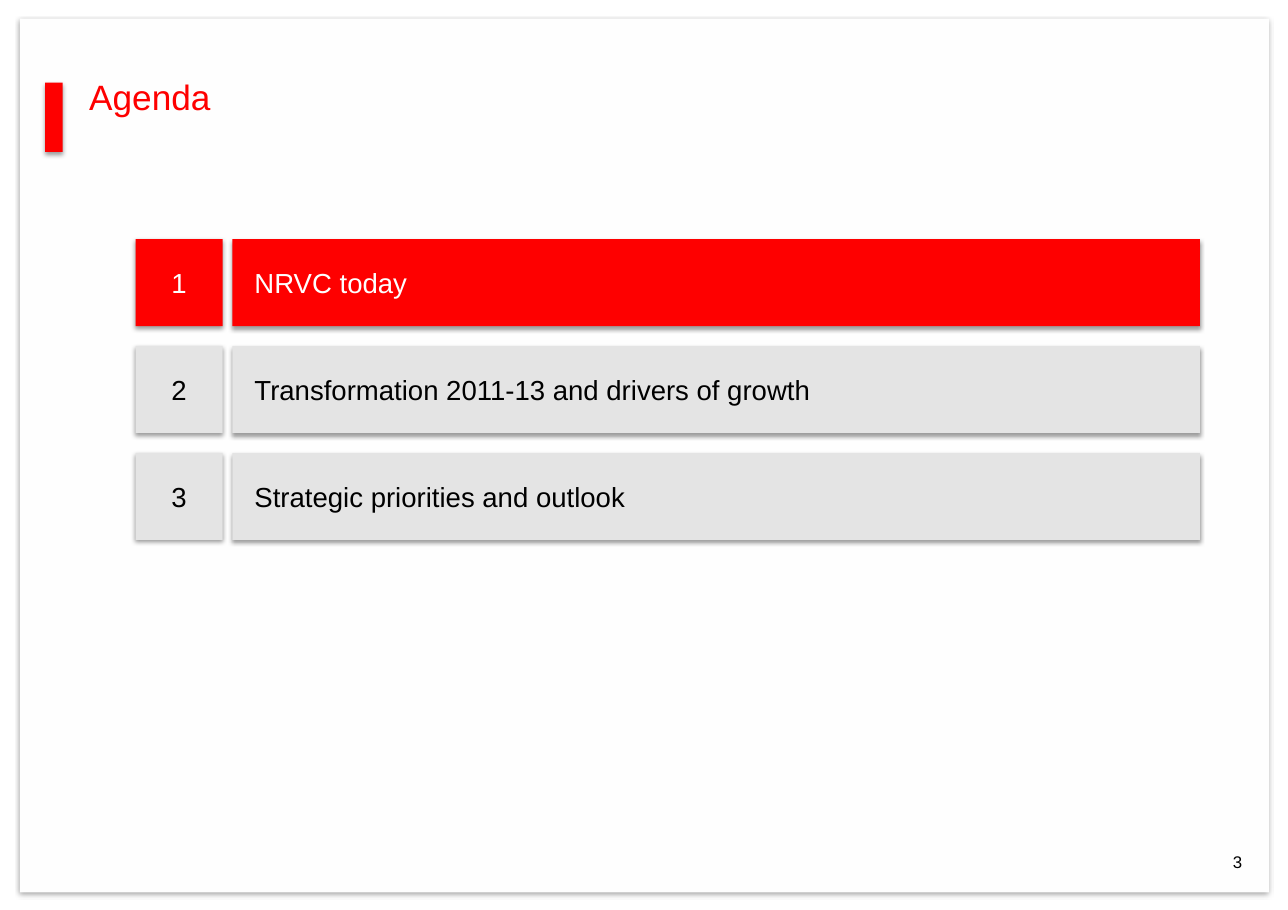
from lxml import etree
from pptx import Presentation, util as u
from pptx.dml import color
from pptx.enum import shapes, text
from pptx.oxml import ns

RED, GREY, WHITE, BLACK = "FE0000", "E4E4E4", "FEFEFE", "000000"
TOPICS = ["NRVC today", "Transformation 2011-13 and drivers of growth",
          "Strategic priorities and outlook"]
CURRENT_TOPIC = 1


def rgb(hex_value):
    """Return the colour for a hex string."""
    return color.RGBColor.from_string(hex_value)


def add_shadow(shape):
    """Give a shape a soft shadow straight below it."""
    shape.shadow.inherit = False
    effects = shape._element.spPr.find(ns.qn("a:effectLst"))
    shadow = etree.SubElement(effects, ns.qn("a:outerShdw"), blurRad=str(u.Pt(3.1)),
                              dist=str(u.Pt(1.6)), dir="5400000", rotWithShape="0")
    tint = etree.SubElement(shadow, ns.qn("a:srgbClr"), val=BLACK)
    etree.SubElement(tint, ns.qn("a:alpha"), val="38000")


def write(shape, words, size, hex_value, align=text.PP_ALIGN.LEFT, inset=0, **formats):
    """Write one line of Arial text in a shape."""
    frame = shape.text_frame
    frame_formats = {"margin_left": u.Inches(inset), "margin_right": 0, "margin_top": 0,
                     "margin_bottom": 0, "word_wrap": False, **formats}
    for name, value in frame_formats.items():
        setattr(frame, name, value)
    para = frame.paragraphs[0]
    para.alignment = align
    span = para.add_run()
    span.text = words
    for name, value in {"name": "Arial", "size": u.Pt(size)}.items():
        setattr(span.font, name, value)
    span.font.color.rgb = rgb(hex_value)


def add_block(page, box, fill):
    """Add a shadowed rectangle without outline."""
    block = page.shapes.add_shape(shapes.MSO_SHAPE.RECTANGLE, *map(u.Inches, box))
    block.fill.solid()
    block.fill.fore_color.rgb = rgb(fill)
    block.line.fill.background()
    add_shadow(block)
    return block


def add_label(page, box, words, size, hex_value):
    """Add a free-standing line of text."""
    write(page.shapes.add_textbox(*map(u.Inches, box)), words, size, hex_value)


def add_heading(page, box, words):
    """Add the red marker and the title beside it."""
    left, top, width, height = box
    add_block(page, (left, top + 0.07, 0.16, height - 0.07), RED)
    add_label(page, (left + 0.4, top, width - 0.4, 0.37), words, 23, RED)


def add_agenda(page, box, topics, current):
    """Stack numbered topic rows, with the current one in red."""
    left, top, width, height = box
    side, column_gap = 0.79, 0.09
    pitch = (height - side) / (len(topics) - 1)
    bar_left = left + side + column_gap
    for number, topic in enumerate(topics, 1):
        row_top = top + (number - 1) * pitch
        fill, ink = (RED, WHITE) if number == current else (GREY, BLACK)
        tile = add_block(page, (left, row_top, side, side), fill)
        bar = add_block(page, (bar_left, row_top, left + width - bar_left, side), fill)
        middle = {"vertical_anchor": text.MSO_ANCHOR.MIDDLE}
        write(tile, str(number), 18, ink, text.PP_ALIGN.CENTER, **middle)
        write(bar, topic, 18, ink, inset=0.2, **middle)


def add_agenda_page(deck):
    """Build the agenda page on its white panel."""
    page = deck.slides.add_slide(deck.slide_layouts[6])
    add_block(page, (0.18, 0.17, 11.34, 7.93), WHITE)
    add_heading(page, (0.41, 0.68, 3, 0.7), "Agenda")
    add_agenda(page, (1.23, 2.17, 9.66, 2.73), TOPICS, CURRENT_TOPIC)
    add_label(page, (11.19, 7.73, 0.08, 0.18), "3", 11, BLACK)


deck = Presentation()
deck.slide_width, deck.slide_height = u.Inches(11.69), u.Inches(8.26)
add_agenda_page(deck)
deck.save("out.pptx")
